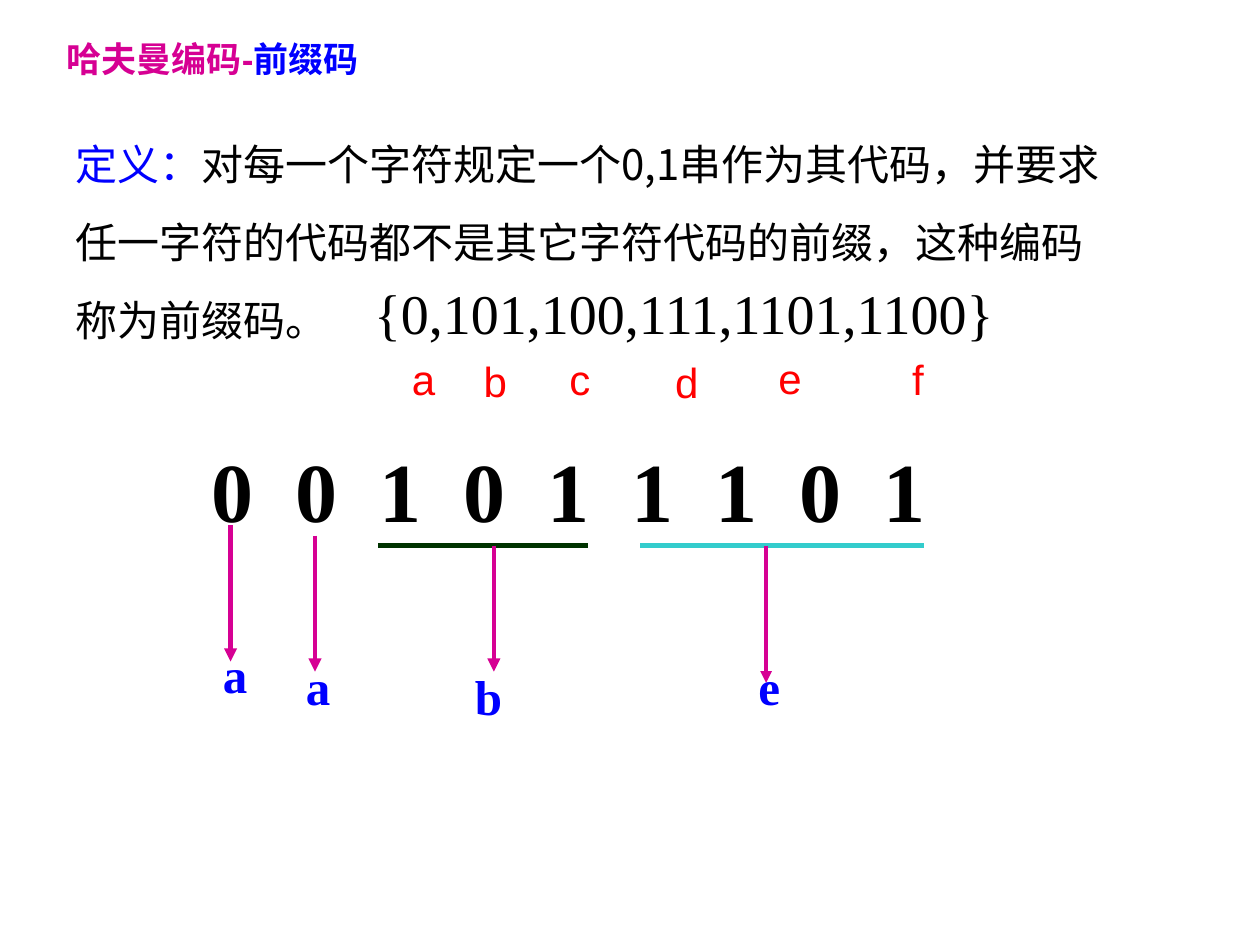
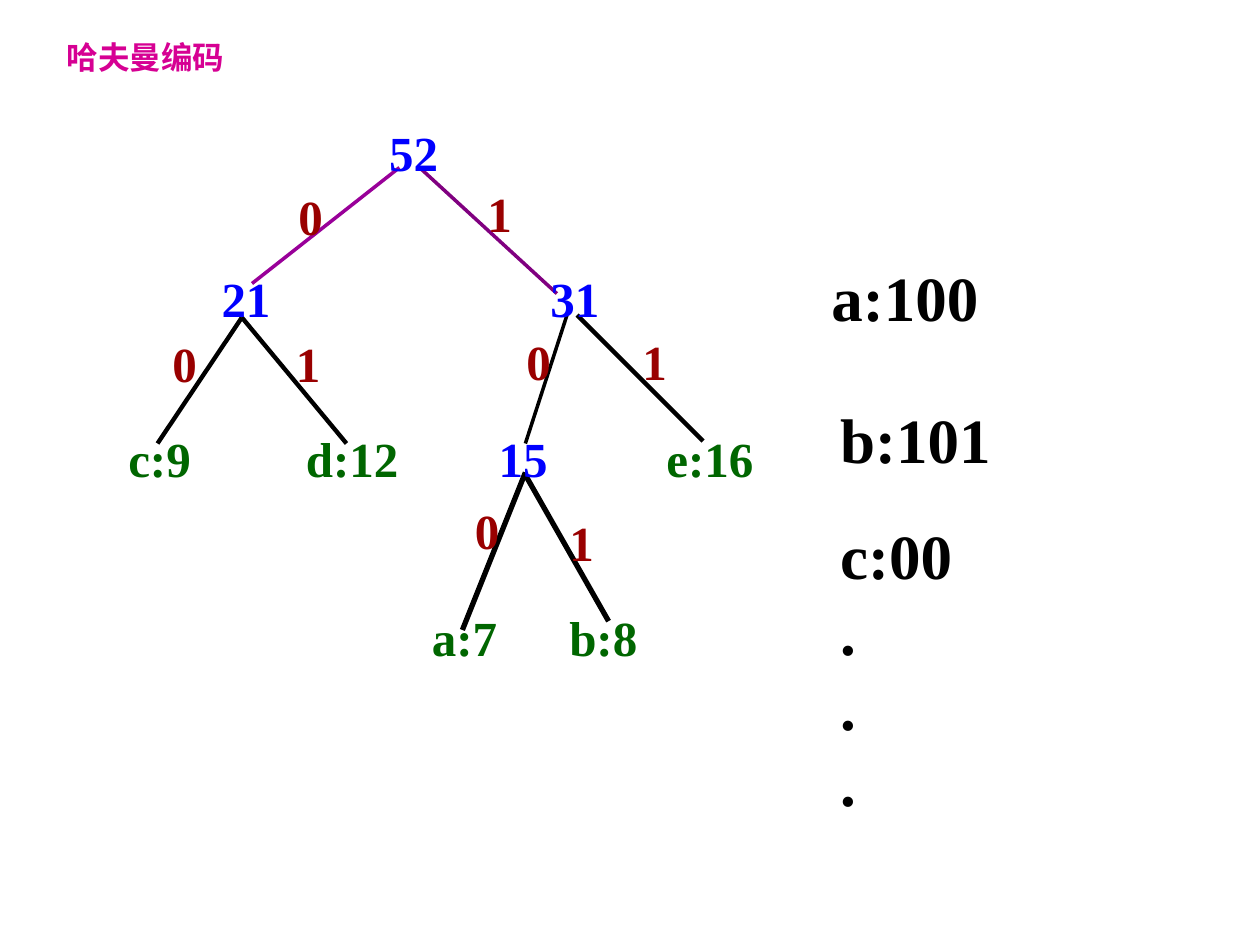
import pptx
import pptx.dml.color
import pptx.enum.shapes
import pptx.enum.text
import pptx.oxml.ns
import pptx.util
from lxml import etree

RGB = pptx.dml.color.RGBColor
Inches = pptx.util.Inches
qn = pptx.oxml.ns.qn

PINK = RGB(0xD6, 0x00, 0x93)
BLUE = RGB(0x00, 0x00, 0xFF)
BLACK = RGB(0x00, 0x00, 0x00)
RED = RGB(0xFF, 0x00, 0x00)
MAROON = RGB(0x99, 0x00, 0x00)
GREEN = RGB(0x00, 0x66, 0x00)
MOSS = RGB(0x00, 0x33, 0x00)
TEAL = RGB(0x33, 0xCC, 0xCC)
VIOLET = RGB(0x99, 0x00, 0x99)
PURPLE = RGB(0x80, 0x00, 0x80)

SANS = "Arial"
SERIF = "Times New Roman"
HAN = "Noto Sans CJK SC"

TITLE = (0.43, 0.25, 3.24, 0.43)


def write(slide, at, lines, size, font=SERIF, bold=True, wrap=False):
    """Add a text box; each line is a list of (text, colour) runs."""
    box = slide.shapes.add_textbox(*(Inches(v) for v in at))
    frame = box.text_frame
    frame.word_wrap = wrap
    frame.auto_size = pptx.enum.text.MSO_AUTO_SIZE.SHAPE_TO_FIT_TEXT
    for i, line in enumerate(lines):
        para = frame.add_paragraph() if i else frame.paragraphs[0]
        for words, colour in line:
            run = para.add_run()
            run.text = words
            run.font.size = pptx.util.Pt(size)
            run.font.bold = bold
            run.font.color.rgb = colour
            run.font.name = font
            etree.SubElement(run.font._element, qn("a:ea"), typeface=HAN)
    return frame.paragraphs[0]


def draw(slide, start, end, colour, width, arrow=False):
    """Add a straight line from start to end."""
    line = slide.shapes.add_connector(
        pptx.enum.shapes.MSO_CONNECTOR.STRAIGHT,
        *(Inches(v) for v in (*start, *end)))
    line.line.color.rgb = colour
    line.line.width = pptx.util.Pt(width)
    if arrow:
        etree.SubElement(line.line._get_or_add_ln(), qn("a:tailEnd"), type="triangle")
    etree.SubElement(line._element.spPr, qn("a:effectLst"))


deck = pptx.Presentation()
deck.slide_width = Inches(10)
deck.slide_height = Inches(7.5)
blank = deck.slide_layouts[6]

# Prefix codes
page = deck.slides.add_slide(blank)
write(page, TITLE, [[("哈夫曼编码-", PINK), ("前缀码", BLUE)]], 20, SANS, wrap=True)
rule = write(page, (0.5, 0.83, 8.42, 1.9), [[
    ("定义：", BLUE),
    ("对每一个字符规定一个0,1串作为其代码，并要求任一字符的代码都不是其它字符代码的前缀，"
     "这种编码称为前缀码。", BLACK)]], 24, HAN, bold=False, wrap=True)
rule.line_spacing = 1.55

bits = write(page, (1.58, 3.43, 6.42, 0.9),
             [[("\t".join("001011101"), BLACK)]], 48, wrap=True)
tabs = etree.SubElement(bits._p.get_or_add_pPr(), qn("a:tabLst"))
for i in range(1, 9):
    etree.SubElement(tabs, qn("a:tab"), pos=str(Inches(i * 2 / 3)), algn="l")

for left, right, colour in ((3, 4.67, MOSS), (5.08, 7.33, TEAL)):
    draw(page, (left, 4.33), (right, 4.33), colour, 3.25)

# symbol, arrow x, arrow top, arrow end, arrow width, label left, label top, label width
for sign, x, top, end, thick, left, y, wide in (
        ("a", 1.83, 4.17, 5.25, 2.5, 1.67, 5.07, 0.4),
        ("a", 2.5, 4.25, 5.33, 2.5, 2.33, 5.16, 0.4),
        ("b", 3.92, 4.33, 5.33, 2.5, 3.67, 5.24, 0.42),
        ("e", 6.08, 4.33, 5.42, 2.25, 5.92, 5.16, 0.37)):
    draw(page, (x, top), (x, end), PINK, thick, arrow=True)
    write(page, (left, y, wide, 0.57), [[(sign, BLUE)]], 28)

write(page, (2.87, 2.16, 5.72, 0.63),
      [[("{0,101,100,111,1101,1100}", BLACK)]], 32, bold=False, wrap=True)
for sign, x, y, wide in (
        ("a", 3.17, 2.76, 0.39), ("b", 3.74, 2.77, 0.39), ("c", 4.42, 2.76, 0.37),
        ("d", 5.26, 2.78, 0.39), ("e", 6.08, 2.75, 0.39), ("f", 7.14, 2.76, 0.29)):
    write(page, (x, y, wide, 0.5), [[(sign, RED)]], 24, SANS, bold=False)

# Code tree
page = deck.slides.add_slide(blank)
write(page, TITLE, [[("哈夫曼编码", PINK)]], 18, SANS, wrap=True)

# start, end, colour, width, then the bit and its place
for start, end, colour, thick, bit, x, y in (
        ((3.17, 1.33), (2, 2.25), VIOLET, 2, "0", 2.27, 1.43),
        ((3.33, 1.33), (4.42, 2.33), PURPLE, 2, "1", 3.77, 1.41),
        ((1.92, 2.52), (1.25, 3.52), BLACK, 2.5, "0", 1.27, 2.6),
        ((1.92, 2.52), (2.75, 3.52), BLACK, 2.5, "1", 2.25, 2.6),
        ((4.5, 2.5), (4.17, 3.52), BLACK, 2, "0", 4.08, 2.58),
        ((4.58, 2.5), (5.58, 3.5), BLACK, 2.5, "1", 5, 2.58),
        ((4.17, 3.75), (3.67, 5), BLACK, 3, "0", 3.67, 3.92),
        ((4.17, 3.77), (4.83, 4.93), BLACK, 3, "1", 4.42, 4.02)):
    draw(page, start, end, colour, thick)
    write(page, (x, y, 0.4, 0.57), [[(bit, MAROON)]], 28)

for name, x, y, wide in (
        ("52", 2.99, 0.92, 0.59), ("21", 1.66, 2.08, 0.59), ("31", 4.27, 2.08, 0.59),
        ("15", 3.86, 3.35, 0.59), ("c:9", 0.92, 3.35, 0.7), ("d:12", 2.33, 3.35, 0.94),
        ("e:16", 5.19, 3.35, 0.89), ("a:7", 3.33, 4.77, 0.72), ("b:8", 4.42, 4.77, 0.74)):
    write(page, (x, y, wide, 0.57), [[(name, GREEN if ":" in name else BLUE)]], 28)

for lines, x, y, wide, high in (
        (["a:100"], 6.5, 2, 1.68, 0.7),
        (["b:101"], 6.57, 3.13, 1.4, 0.7),
        (["c:00", ".", ".", "."], 6.57, 4.05, 1.68, 2.5)):
    write(page, (x, y, wide, high), [[(words, BLACK)] for words in lines], 36, wrap=True)

deck.save("out.pptx")
